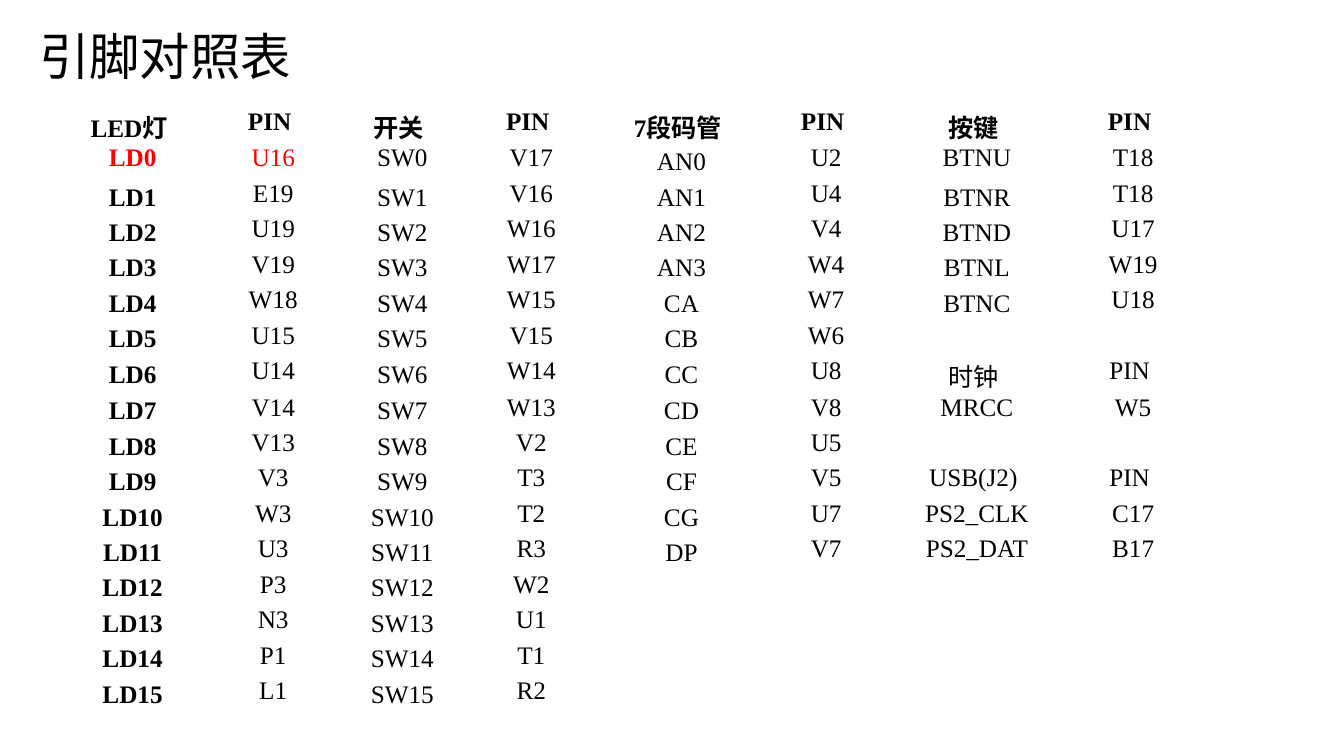
import pptx
import pptx.util
import pptx.dml.color
import pptx.enum.text
from lxml import etree
from pptx.oxml.ns import qn

Inches = pptx.util.Inches
Pt = pptx.util.Pt
RGB = pptx.dml.color.RGBColor
Align = pptx.enum.text.PP_ALIGN
Anchor = pptx.enum.text.MSO_ANCHOR

BLACK = RGB(0, 0, 0)
RED = RGB(255, 0, 0)
WHITE = RGB(255, 255, 255)
LATIN = "Times New Roman"
HAN = "Noto Sans CJK SC"

TITLE = "引脚对照表"
HEADS = ["LED灯", "PIN", "开关", "PIN", "7段码管", "PIN", "按键", "PIN"]
LEDS = "U16 E19 U19 V19 W18 U15 U14 V14 V13 V3 W3 U3 P3 N3 P1 L1".split()
KEYS = "V17 V16 W16 W17 W15 V15 W14 W13 V2 T3 T2 R3 W2 U1 T1 R2".split()
TUBES = [
    ("AN0", "U2"), ("AN1", "U4"), ("AN2", "V4"), ("AN3", "W4"),
    ("CA", "W7"), ("CB", "W6"), ("CC", "U8"), ("CD", "V8"),
    ("CE", "U5"), ("CF", "V5"), ("CG", "U7"), ("DP", "V7"),
]
BLANK = ("", "")
PORTS = [
    ("BTNU", "T18"), ("BTNR", "T18"), ("BTND", "U17"), ("BTNL", "W19"),
    ("BTNC", "U18"), BLANK, ("时钟", "PIN"), ("MRCC", "W5"),
    BLANK, ("USB(J2)", "PIN"), ("PS2_CLK", "C17"), ("PS2_DAT", "B17"),
]
WIDTHS = [1.6, 1.19, 1.37, 1.19, 1.79, 1.08, 1.91, 1.19]
LEFT, TOP, WIDE, HIGH = 0.48, 1.07, 11.33, 5.98


def style(para, size, face, color, bold=False):
    font = para.font
    font.size = Pt(size)
    font.bold = bold
    font.color.rgb = color
    font.name = face
    props = para._p.pPr.find(qn("a:defRPr"))
    etree.SubElement(props, qn("a:ea")).set("typeface", HAN)


def border(cell, base):
    props = cell._tc.get_or_add_tcPr()
    for side in "LRTB":
        line = etree.SubElement(props, qn("a:ln" + side))
        line.set("w", str(Pt(base if side == "B" else 1)))
        fill = etree.SubElement(line, qn("a:solidFill"))
        etree.SubElement(fill, qn("a:srgbClr")).set("val", str(WHITE))


def centred(row, col):
    if row == 1:
        return col == 4
    return row > 1 and (col in (0, 2, 4) or (col == 6 and row <= 5))


def write(cell, text, row, col):
    cell.margin_left = cell.margin_right = Inches(0.07)
    cell.margin_top = cell.margin_bottom = 0
    cell.vertical_anchor = Anchor.MIDDLE if centred(row, col) else Anchor.TOP
    border(cell, 3 if row == 0 else 1)
    cell.fill.background()
    cell.text = text
    para = cell.text_frame.paragraphs[0]
    para.alignment = Align.CENTER
    head = row == 0 or text in ("PIN", "时钟", "USB(J2)")
    if not head:
        para._p.get_or_add_pPr().set("marL", str(Inches(0.07)))
    color = RED if row == 1 and col < 2 else BLACK
    style(para, 18, LATIN, color, row == 0 or col == 0)


def main():
    deck = pptx.Presentation()
    deck.slide_width = Inches(13.33)
    deck.slide_height = Inches(7.5)
    slide = deck.slides.add_slide(deck.slide_layouts[6])

    rows = [HEADS]
    for i, (led, key) in enumerate(zip(LEDS, KEYS)):
        tube = TUBES[i] if i < len(TUBES) else BLANK
        port = PORTS[i] if i < len(PORTS) else BLANK
        rows.append([f"LD{i}", led, f"SW{i}", key, *tube, *port])

    frame = slide.shapes.add_table(
        len(rows), len(HEADS),
        Inches(LEFT), Inches(TOP), Inches(WIDE), Inches(HIGH))
    table = frame.table
    table.horz_banding = False
    for part, width in zip(table.columns, WIDTHS):
        part.width = Inches(width)
    for r, texts in enumerate(rows):
        table.rows[r].height = Inches(HIGH / len(rows))
        for c, text in enumerate(texts):
            write(table.cell(r, c), text, r, c)

    box = slide.shapes.add_textbox(
        Inches(0.29), Inches(0.2), Inches(2.73), Inches(0.71))
    box.text_frame.word_wrap = False
    box.text_frame.text = TITLE
    style(box.text_frame.paragraphs[0], 36, HAN, BLACK)

    deck.save("out.pptx")


if __name__ == "__main__":
    main()
